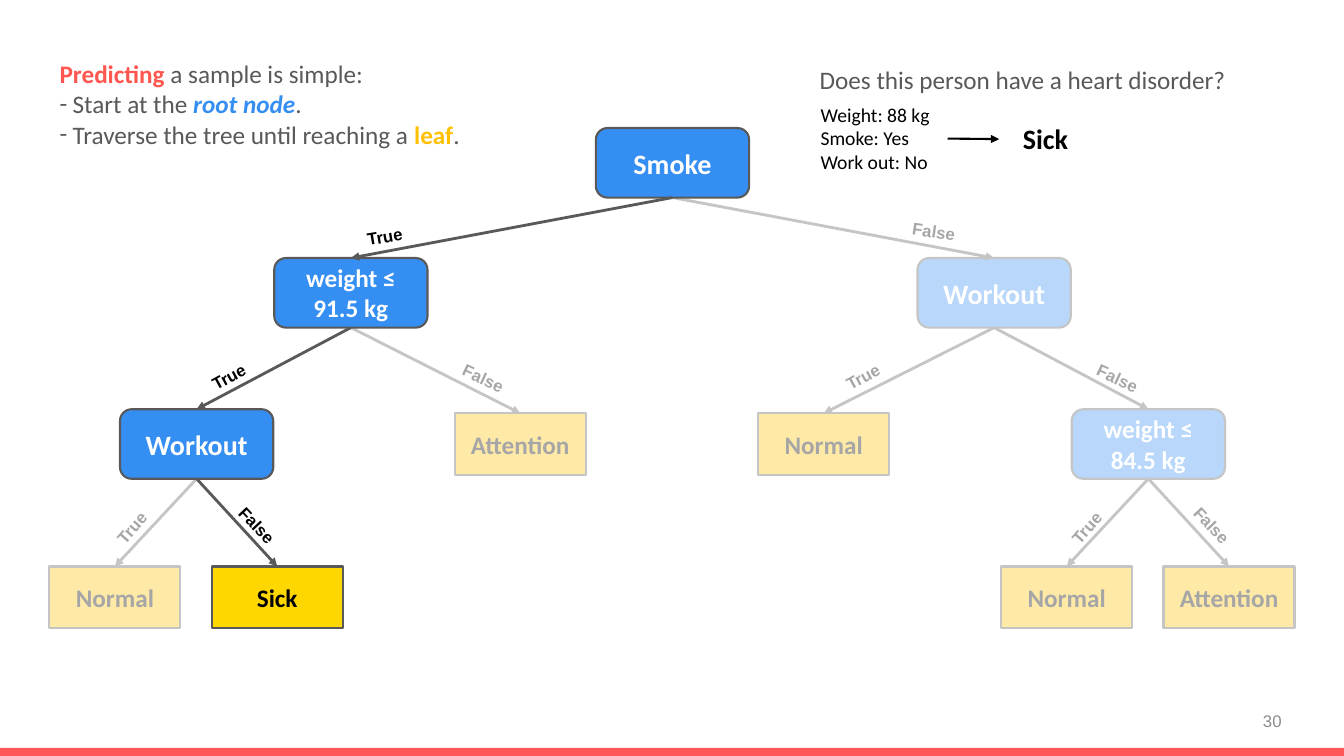
from lxml import etree
from pptx import Presentation, util
from pptx.dml import color as dml
from pptx.enum import shapes, text
from pptx.oxml import ns

Inches, Pt = util.Inches, util.Pt
COLORS = {
    "coral": "FF5657", "predicting": "FF564F", "blue": "358EF2",
    "amber": "FFC000", "gold": "FFD700", "gray": "595959",
    "number": "8C8C8C", "black": "000000", "white": "FFFFFF",
}
RGB = {name: dml.RGBColor.from_string(value) for name, value in COLORS.items()}


def write(paragraph, words, color, **formats):
    run = paragraph.add_run()
    run.text = words
    run.font.color.rgb = RGB[color]
    for attribute, value in ({"name": "Calibri", "size": Pt(18)} | formats).items():
        setattr(run.font, attribute, value)


def add_arrow(color, width):
    arrow = slide.shapes.add_connector(shapes.MSO_CONNECTOR.STRAIGHT, 0, 0, 0, 0)
    arrow.line.color.rgb = RGB[color]
    arrow.line.width = Pt(width)
    properties = arrow.element.spPr
    etree.SubElement(properties.find(ns.qn("a:ln")), ns.qn("a:tailEnd"), type="triangle")
    etree.SubElement(properties, ns.qn("a:effectLst"))
    return arrow


presentation = Presentation()
presentation.slide_width = Inches(13.33)
presentation.slide_height = Inches(7.5)
slide = presentation.slides.add_slide(presentation.slide_layouts[1])
title, body = slide.placeholders

bar = slide.shapes.add_shape(
    shapes.MSO_SHAPE.RECTANGLE, 0, Inches(7.42), presentation.slide_width, Inches(0.08))
bar.shadow.inherit = False
bar.fill.solid()
bar.fill.fore_color.rgb = RGB["coral"]
bar.line.fill.background()

number = slide.shapes.add_textbox(Inches(9.81), Inches(6.95), Inches(3), Inches(0.4))
number.text_frame.word_wrap = True
number.text_frame.vertical_anchor = text.MSO_ANCHOR.MIDDLE
number.text_frame.paragraphs[0].alignment = text.PP_ALIGN.RIGHT
write(number.text_frame.paragraphs[0], "30", "number", name="Arial", size=Pt(12))

KINDS = {
    "decision": (shapes.MSO_SHAPE.ROUNDED_RECTANGLE, 1.52, 0.69, "blue", "white"),
    "leaf": (shapes.MSO_SHAPE.RECTANGLE, 1.3, 0.61, "amber", "black"),
    "result": (shapes.MSO_SHAPE.RECTANGLE, 1.3, 0.61, "gold", "black"),
}
NODES = {
    "root": ("Smoke", "decision", 6.67, 1.27, 20, True),
    "left": ("weight ≤ 91.5 kg", "decision", 3.48, 2.56, 18, True),
    "right": ("Workout", "decision", 9.86, 2.56, 20, False),
    "left true": ("Workout", "decision", 1.95, 4.06, 20, True),
    "left false": ("Attention", "leaf", 5.16, 4.1, 18, False),
    "right true": ("Normal", "leaf", 8.17, 4.1, 18, False),
    "right false": ("weight ≤ 84.5 kg", "decision", 11.39, 4.06, 18, False),
    "normal": ("Normal", "leaf", 1.14, 5.62, 18, False),
    "sick": ("Sick", "result", 2.75, 5.62, 18, True),
    "far normal": ("Normal", "leaf", 10.58, 5.62, 18, False),
    "far attention": ("Attention", "leaf", 12.19, 5.62, 18, False),
}
BRANCHES = [
    ("root", "left", "True", 3.54, 2.19, -9.7),
    ("root", "right", "False", 8.95, 2.15, 8.4),
    ("left", "left true", "True", 1.99, 3.57, -28.5),
    ("left", "left false", "False", 4.48, 3.61, 25),
    ("right", "right true", "True", 8.28, 3.57, -28.5),
    ("right", "right false", "False", 10.77, 3.61, 25),
    ("left true", "normal", "True", 1.02, 5.06, -48.8),
    ("left true", "sick", "False", 2.23, 5.08, 46.9),
    ("right false", "far normal", "True", 10.49, 5.06, -48.8),
    ("right false", "far attention", "False", 11.7, 5.08, 46.9),
]
LABEL_WIDTHS = {"True": 0.62, "False": 0.67}

nodes, arrows = {}, {}
for on_path in (False, True):
    if on_path:
        veil = slide.shapes.add_shape(
            shapes.MSO_SHAPE.RECTANGLE, Inches(0.38), Inches(1.17), Inches(12.55), Inches(5.19))
        veil.shadow.inherit = False
        veil.fill.solid()
        veil.fill.fore_color.rgb = RGB["white"]
        veil.line.fill.background()
        veil_color = veil.element.spPr.find(".//" + ns.qn("a:srgbClr"))
        etree.SubElement(veil_color, ns.qn("a:alpha"), val="65000")
    for key, (words, kind, center, top, size, active) in NODES.items():
        if active != on_path:
            continue
        outline, width, height, fill, ink = KINDS[kind]
        node = slide.shapes.add_shape(
            outline, Inches(center - width / 2), Inches(top), Inches(width), Inches(height))
        node.shadow.inherit = False
        node.fill.solid()
        node.fill.fore_color.rgb = RGB[fill]
        node.line.color.rgb = RGB["gray"]
        node.line.width = Pt(1.5)
        node.text_frame.word_wrap = True
        node.text_frame.paragraphs[0].alignment = text.PP_ALIGN.CENTER
        write(node.text_frame.paragraphs[0], words, ink, size=Pt(size), bold=True)
        nodes[key] = node
    for parent, child, answer, left, top, angle in BRANCHES:
        if NODES[child][-1] != on_path:
            continue
        arrows[parent, child] = add_arrow("gray", 2)
        label = slide.shapes.add_textbox(
            Inches(left), Inches(top), Inches(LABEL_WIDTHS[answer]), Inches(0.3))
        label.rotation = angle
        label.text_frame.word_wrap = False
        write(label.text_frame.paragraphs[0], answer, "black",
              name="Arial", size=Pt(12), bold=True)

for (parent, child), arrow in arrows.items():
    arrow.begin_connect(nodes[parent], 2)
    arrow.end_connect(nodes[child], 0)

for placeholder, left, top, width, height in (
    (body, 0.49, 0.53, 4.69, 1.01),
    (title, 8.03, 0.59, 4.35, 0.4),
):
    placeholder.left, placeholder.top = Inches(left), Inches(top)
    placeholder.width, placeholder.height = Inches(width), Inches(height)
    placeholder.text_frame.auto_size = text.MSO_AUTO_SIZE.NONE
    placeholder.text_frame.vertical_anchor = text.MSO_ANCHOR.TOP
    placeholder.element.getparent().append(placeholder.element)

title.text_frame.paragraphs[0].alignment = text.PP_ALIGN.LEFT
write(title.text_frame.paragraphs[0], "Does this person have a heart disorder?", "gray")

EMPHASIS = {"bold": True}
STEPS = [
    (None, [("Predicting ", "predicting", EMPHASIS), ("a sample is simple:", "gray", {})]),
    ("-", [("Start at the ", "gray", {}),
           ("root node", "blue", EMPHASIS | {"italic": True}), (".", "gray", {})]),
    ("-", [("Traverse the tree until reaching a ", "gray", {}),
           ("leaf", "amber", EMPHASIS), (".", "gray", {})]),
]
for index, (bullet, runs) in enumerate(STEPS):
    paragraph = body.text_frame.add_paragraph() if index else body.text_frame.paragraphs[0]
    paragraph.space_before = Pt(0)
    properties = paragraph._p.get_or_add_pPr()
    indent = Inches(0.13) if bullet else 0
    properties.set("marL", str(indent))
    properties.set("indent", str(-indent))
    if bullet:
        etree.SubElement(properties, ns.qn("a:buFont"), typeface="Calibri")
        etree.SubElement(properties, ns.qn("a:buChar"), char=bullet)
    else:
        etree.SubElement(properties, ns.qn("a:buNone"))
    for words, color, formats in runs:
        write(paragraph, words, color, **formats)

person = slide.shapes.add_textbox(Inches(8.04), Inches(0.97), Inches(1.36), Inches(0.81))
person.text_frame.word_wrap = True
for index, fact in enumerate(("Weight: 88 kg", "Smoke: Yes", "Work out: No")):
    paragraph = person.text_frame.add_paragraph() if index else person.text_frame.paragraphs[0]
    write(paragraph, fact, "black", size=Pt(14))

prediction = slide.shapes.add_textbox(Inches(9.91), Inches(1.16), Inches(0.92), Inches(0.44))
prediction.text_frame.word_wrap = True
prediction.text_frame.paragraphs[0].alignment = text.PP_ALIGN.CENTER
write(prediction.text_frame.paragraphs[0], "Sick", "black", size=Pt(20), bold=True)

outcome = add_arrow("black", 1.5)
outcome.begin_connect(person, 3)
outcome.end_connect(prediction, 1)

presentation.save("out.pptx")
